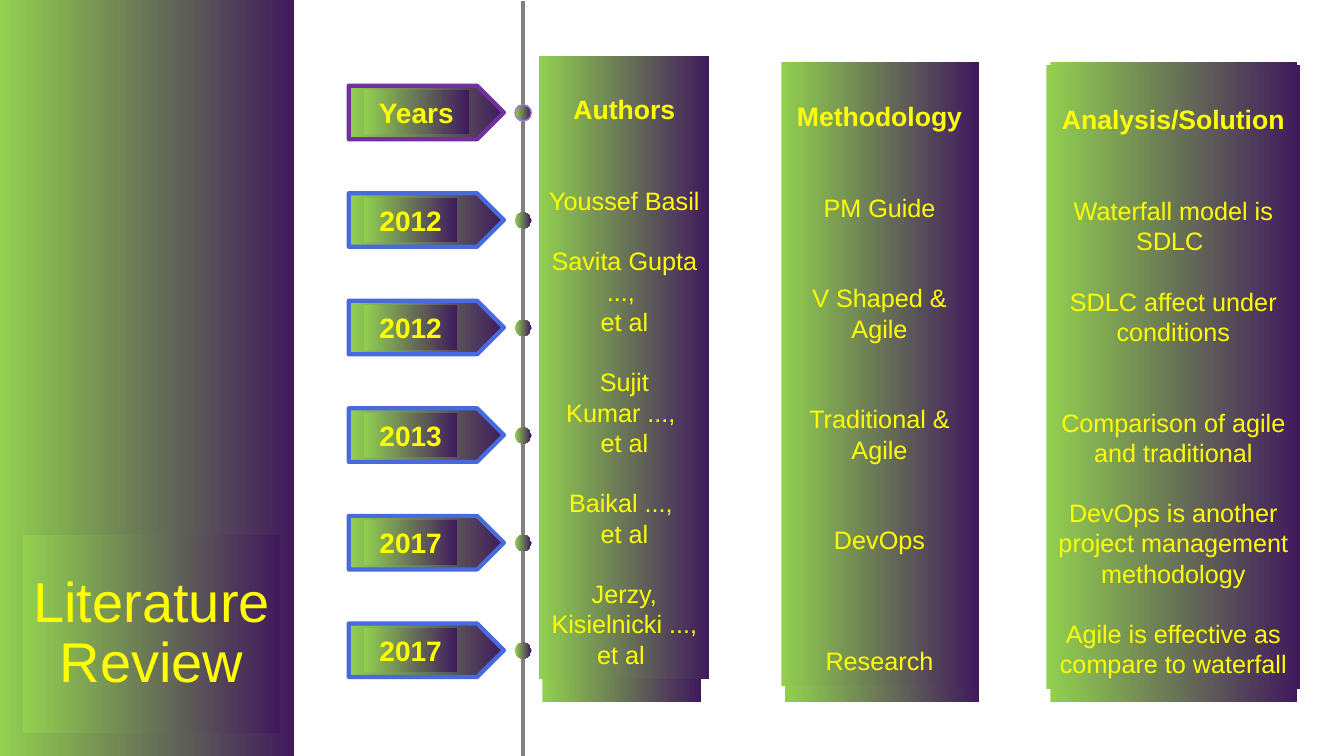
from lxml.etree import SubElement
from pptx import Presentation
from pptx.dml.color import RGBColor
from pptx.enum.shapes import MSO_CONNECTOR as Link, MSO_SHAPE as Form
from pptx.enum.text import MSO_ANCHOR as Anchor, PP_ALIGN as Align
from pptx.oxml.ns import qn
from pptx.util import Cm, Pt

YEARS = ["Years", "2012", "2012", "2013", "2017", "2017"]
LINE = 21.6
PANELS = [
    ((13.67, 1.57, 3.99, 16.13), (13.59, 1.4, 4.29, 15.72), "Authors",
     [("Youssef Basil", 2), ("Savita Gupta ..., ", 1), ("et al", 0),
      ("Sujit Kumar ..., ", 1), ("et al", 0), ("Baikal ..., ", 1), ("et al", 0),
      ("Jerzy, Kisielnicki ..., et al ", 1)]),
    ((19.79, 1.57, 4.88, 16.13), (19.69, 1.57, 4.95, 15.72), "Methodology",
     [("PM Guide", 2), ("V Shaped & Agile", 2), ("Traditional & Agile", 2),
      ("DevOps", 2), ("Research", 3)]),
    ((26.47, 1.57, 6.22, 16.13), (26.37, 1.65, 6.4, 15.72), "Analysis/Solution",
     [("Waterfall model is SDLC ", 2), ("SDLC affect under conditions", 1),
      ("Comparison of agile and traditional", 2),
      ("DevOps is another project management methodology", 1),
      ("Agile is effective as compare to waterfall", 1)]),
]


def color(code):
    """Turn a hex string into a colour."""
    return RGBColor.from_string(code)


def block(slide, box, form=Form.RECTANGLE, edge=None, width=3):
    """Draw a shape with the green to purple gradient."""
    shape = slide.shapes.add_shape(form, *map(Cm, box))
    shape.shadow.inherit = False
    shape.fill.gradient()
    shape.fill.gradient_angle = 0
    for stop, code, place in zip(shape.fill.gradient_stops, ("92D050", "401A5D"), (0, 1)):
        stop.color.rgb = color(code)
        stop.position = place
    if edge:
        shape.line.color.rgb = color(edge)
        shape.line.width = Pt(width)
    else:
        shape.line.fill.background()
    return shape


def write(shape, text, size=18, bold=False, space=None, before=0, first=False):
    """Write one centred paragraph into a shape."""
    frame = shape.text_frame
    frame.word_wrap = True
    para = frame.paragraphs[0] if first else frame.add_paragraph()
    para.alignment = Align.CENTER
    para.line_spacing = space
    para.space_before = Pt(before)
    run = para.add_run()
    run.text = text
    run.font.name = "Arial"
    run.font.size = Pt(size)
    run.font.bold = bold
    run.font.color.rgb = color("FFFF00")


def sidebar(slide, box):
    """Draw the left band with the slide title."""
    left, top, wide, high = box
    block(slide, box)
    title = block(slide, (left + 0.58, top + 13.49, wide - 0.94, 4.98))
    title.text_frame.vertical_anchor = Anchor.MIDDLE
    for row, word in enumerate(("Literature", "Review")):
        write(title, word, size=40, space=0.9, first=row == 0)


def timeline(slide, box):
    """Draw the upright line with its dots and year tags."""
    left, top, wide, high = box
    axis = left + wide
    rule = slide.shapes.add_connector(
        Link.STRAIGHT, Cm(axis), Cm(top), Cm(axis), Cm(top + high))
    rule.line.color.rgb = color("808080")
    rule.line.width = Pt(3)
    SubElement(rule._element.spPr, qn("a:effectLst"))
    for row, year in enumerate(YEARS):
        head = row == 0
        y = top + 2.13 + row * 2.71
        block(slide, (axis - 0.2, y + 0.48, 0.41, 0.41), Form.OVAL,
              "9A78E4" if head else None, 1)
        block(slide, (left, y, 3.91, 1.35), Form.PENTAGON,
              "7030A0" if head else "476ADD")
        tag = block(slide, (left + 0.38, y + 0.11, 2.64 if head else 2.36, 1.12))
        tag.text_frame.vertical_anchor = Anchor.MIDDLE
        write(tag, year, size=20, bold=True, first=True)


def panel(slide, back, front, head, items):
    """Draw one column with its heading and entries."""
    block(slide, back)
    card = block(slide, front)
    card.text_frame.vertical_anchor = Anchor.TOP
    card.text_frame.margin_top = Cm(0.94)
    write(card, head, size=19, bold=True, space=Pt(22.8), first=True)
    for text, gap in items:
        write(card, text, space=Pt(LINE), before=gap * LINE)


def main():
    """Build and save the slide."""
    deck = Presentation()
    deck.slide_width, deck.slide_height = Cm(33.87), Cm(19.05)
    slide = deck.slides.add_slide(deck.slide_layouts[6])
    sidebar(slide, (0, 0, 7.42, 19.05))
    timeline(slide, (8.79, 0.03, 4.39, 19.02))
    for parts in PANELS:
        panel(slide, *parts)
    deck.save("out.pptx")


if __name__ == "__main__":
    main()
